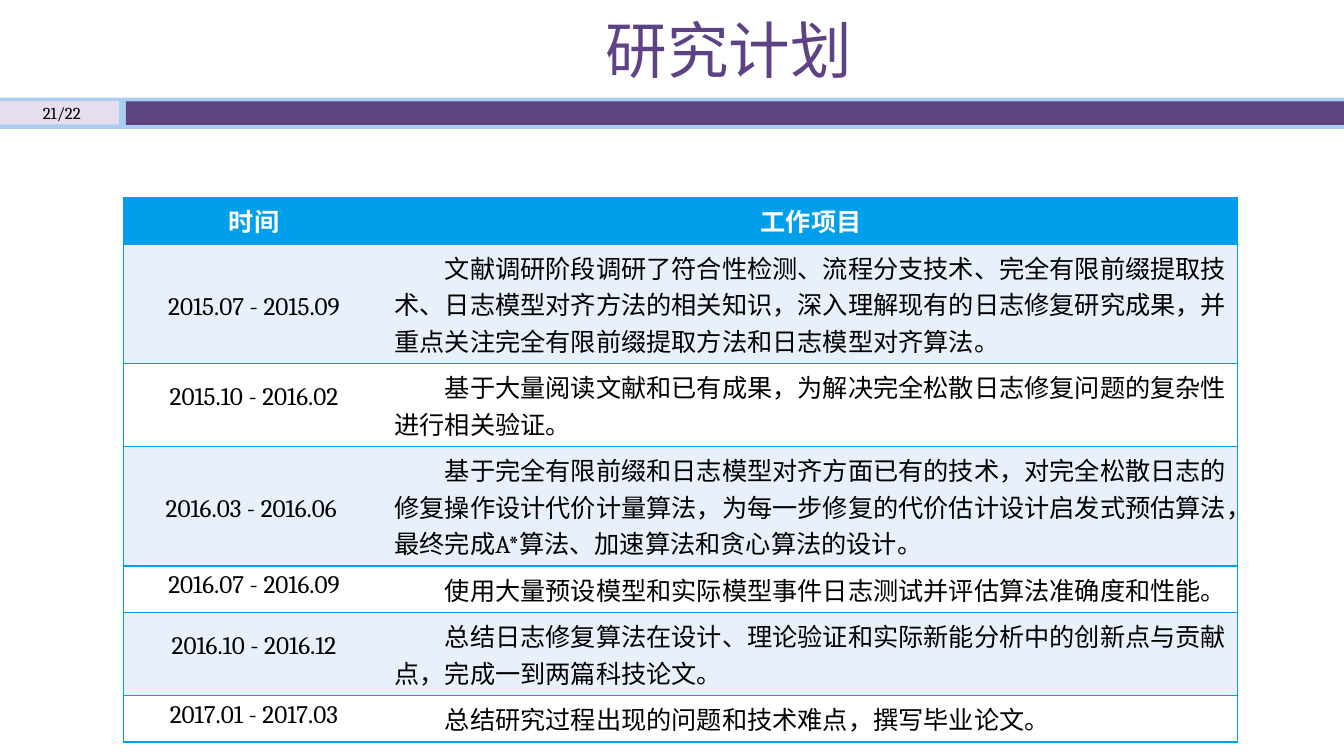
from lxml import etree
from pptx import Presentation
from pptx.dml.color import RGBColor
from pptx.enum.shapes import MSO_SHAPE
from pptx.enum.text import MSO_ANCHOR, PP_ALIGN
from pptx.oxml.ns import qn
from pptx.util import Pt

RECTANGLE = MSO_SHAPE.RECTANGLE
MIDDLE = MSO_ANCHOR.MIDDLE
CENTER, LEFT = PP_ALIGN.CENTER, PP_ALIGN.LEFT

COLORS = {
    "title": "5D4385", "band": "ABCDF4", "page": "E5DEEF", "bar": "5C4381",
    "header": "009FEC", "stripe": "E7F0FB", "white": "FFFFFF", "black": "000000",
}

TITLE = "研究计划"
PAGE_NUMBER = "21/22"
HEADERS = ("时间", "工作项目")
# period, lines taken by the work item, work item
PLAN = [
    ("2015.07 - 2015.09", 3,
     "文献调研阶段调研了符合性检测、流程分支技术、完全有限前缀提取技术、日志模型对齐方法的相关知识，"
     "深入理解现有的日志修复研究成果，并重点关注完全有限前缀提取方法和日志模型对齐算法。"),
    ("2015.10 - 2016.02", 2,
     "基于大量阅读文献和已有成果，为解决完全松散日志修复问题的复杂性进行相关验证。"),
    ("2016.03 - 2016.06 ", 3,
     "基于完全有限前缀和日志模型对齐方面已有的技术，对完全松散日志的修复操作设计代价计量算法，"
     "为每一步修复的代价估计设计启发式预估算法，最终完成A*算法、加速算法和贪心算法的设计。"),
    ("2016.07 - 2016.09", 1,
     "使用大量预设模型和实际模型事件日志测试并评估算法准确度和性能。"),
    ("2016.10 - 2016.12", 2,
     "总结日志修复算法在设计、理论验证和实际新能分析中的创新点与贡献点，完成一到两篇科技论文。"),
    ("2017.01 - 2017.03", 1,
     "总结研究过程出现的问题和技术难点，撰写毕业论文。"),
]
PERIOD_SPACING = {1: 1.0, 2: 1.5, 3: 2.5}

SLIDE_WIDTH, SLIDE_HEIGHT = 960, 540
BAR_LEFT = 90
# left, top, width, height, colour
BANDS = [
    (0, 69.8, SLIDE_WIDTH, 22.3, "band"),
    (0, 72, 85, 16.8, "page"),
    (BAR_LEFT, 72.4, SLIDE_WIDTH - BAR_LEFT, 16.8, "bar"),
]
TITLE_BOX = (88.6, 2.2, 864, 64.8)
PAGE_BOX = (0, 69.1, 88.3, 22.3)
TABLE_LEFT, TABLE_TOP = 88.3, 141.2
COLUMN_WIDTHS = (186.3, 609.5)
LINE_HEIGHT, CELL_PADDING = 26.05, 7.2
FIRST_LINE_INDENT = 36

TITLE_FONT = {"name": "Calibri", "size": Pt(44), "bold": False}
PAGE_FONT = {"name": "Cambria", "size": Pt(12)}
HEADER_FONT = {"name": "Cambria", "size": Pt(18), "bold": True}
BODY_FONT = {"name": "Cambria", "size": Pt(18), "bold": False}


def rgb(color):
    return RGBColor.from_string(COLORS[color])


def fill_solid(target, color):
    target.fill.solid()
    target.fill.fore_color.rgb = rgb(color)


def write(text_frame, text, font, color, alignment=CENTER, line_spacing=1.0):
    paragraph = text_frame.paragraphs[0]
    paragraph.alignment = alignment
    paragraph.line_spacing = line_spacing
    run = paragraph.add_run()
    run.text = text
    for name, value in font.items():
        setattr(run.font, name, value)
    run.font.color.rgb = rgb(color)
    return paragraph


def set_borders(cell, open_side):
    """Draw 1 pt lines on every side of the cell except the open one."""
    properties = cell._tc.get_or_add_tcPr()
    for index, side in enumerate(("lnL", "lnR", "lnT", "lnB")):
        line = etree.Element(qn(f"a:{side}"), w=str(Pt(1)))
        if side == open_side:
            etree.SubElement(line, qn("a:noFill"))
        else:
            solid = etree.SubElement(line, qn("a:solidFill"))
            etree.SubElement(solid, qn("a:srgbClr"), val=COLORS["header"])
        properties.insert(index, line)


def add_bands(slide):
    for *box, color in BANDS:
        shape = slide.shapes.add_shape(RECTANGLE, *map(Pt, box))
        shape.shadow.inherit = False
        fill_solid(shape, color)
        shape.line.fill.background()


def add_title(slide):
    title = slide.shapes.title
    title.left, title.top, title.width, title.height = map(Pt, TITLE_BOX)
    fill_solid(title, "white")
    title.text_frame.vertical_anchor = MIDDLE
    write(title.text_frame, TITLE, TITLE_FONT, "title")


def add_page_number(slide):
    text_frame = slide.shapes.add_textbox(*map(Pt, PAGE_BOX)).text_frame
    text_frame.word_wrap = True
    text_frame.vertical_anchor = MIDDLE
    write(text_frame, PAGE_NUMBER, PAGE_FONT, "black")


def add_plan_table(slide):
    line_counts = [1] + [lines for _, lines, _ in PLAN]
    heights = [CELL_PADDING + LINE_HEIGHT * lines for lines in line_counts]
    table = slide.shapes.add_table(
        len(heights), len(HEADERS), Pt(TABLE_LEFT), Pt(TABLE_TOP),
        Pt(sum(COLUMN_WIDTHS)), Pt(sum(heights))).table
    for column, width in zip(table.columns, COLUMN_WIDTHS):
        column.width = Pt(width)
    for index, (row, height) in enumerate(zip(table.rows, heights)):
        row.height = Pt(height)
        color = ("stripe" if index % 2 else "white") if index else "header"
        for cell, open_side in zip(row.cells, ("lnR", "lnL")):
            fill_solid(cell, color)
            set_borders(cell, open_side)

    for column, header in enumerate(HEADERS):
        write(table.cell(0, column).text_frame, header, HEADER_FONT, "white")
    for index, (period, lines, work) in enumerate(PLAN, start=1):
        write(table.cell(index, 0).text_frame, period, BODY_FONT, "black",
              line_spacing=PERIOD_SPACING[lines])
        paragraph = write(table.cell(index, 1).text_frame, work, BODY_FONT,
                          "black", LEFT)
        paragraph._p.get_or_add_pPr().set("indent", str(Pt(FIRST_LINE_INDENT)))


def main():
    presentation = Presentation()
    presentation.slide_width = Pt(SLIDE_WIDTH)
    presentation.slide_height = Pt(SLIDE_HEIGHT)
    slide = presentation.slides.add_slide(presentation.slide_layouts[5])
    add_bands(slide)
    add_title(slide)
    add_page_number(slide)
    add_plan_table(slide)
    presentation.save("out.pptx")


if __name__ == "__main__":
    main()
